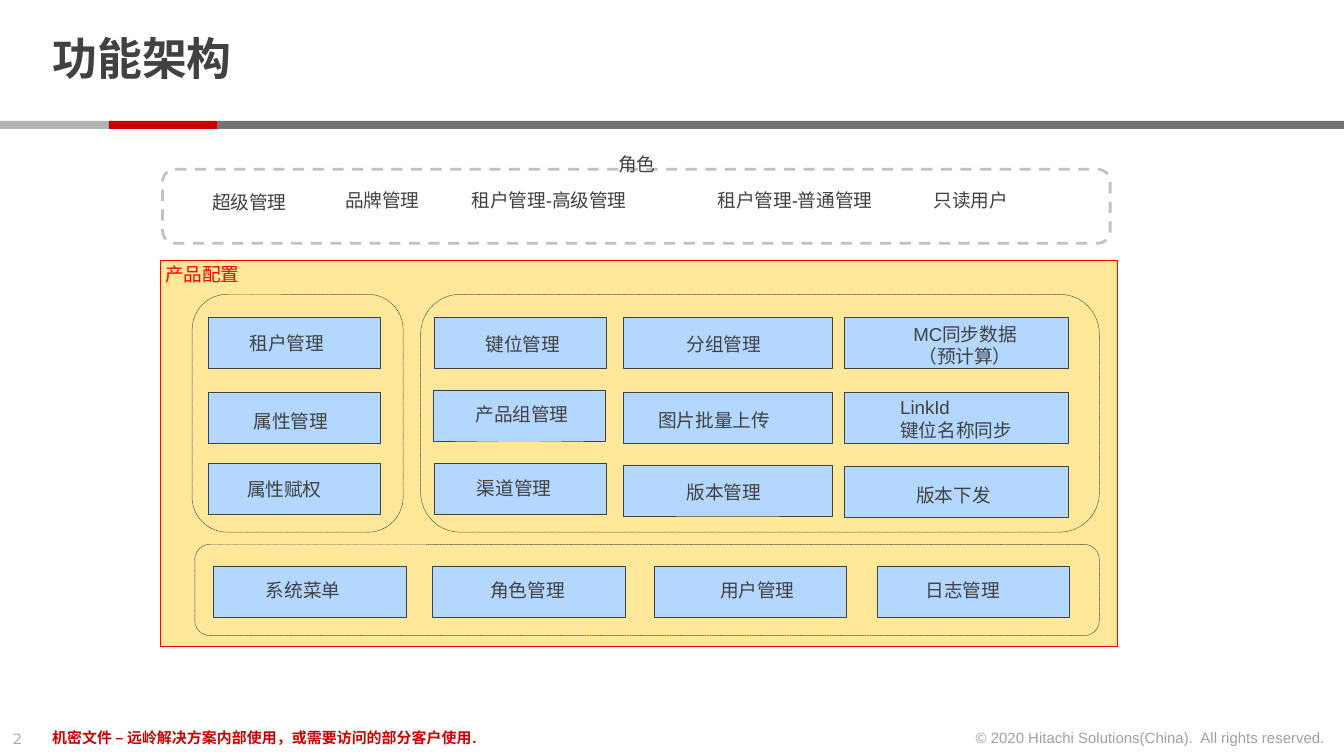
"""Build the functional architecture slide: roles, product configuration modules and footer."""
from pptx import Presentation
from pptx.dml.color import RGBColor
from pptx.enum.dml import MSO_LINE
from pptx.enum.shapes import MSO_SHAPE
from pptx.enum.text import MSO_ANCHOR, MSO_AUTO_SIZE, PP_ALIGN
from pptx.util import Inches, Pt

RECT, ROUNDED = MSO_SHAPE.RECTANGLE, MSO_SHAPE.ROUNDED_RECTANGLE
DASH, DOTS = MSO_LINE.DASH, MSO_LINE.SQUARE_DOT
LEFT, CENTER, RIGHT = PP_ALIGN.LEFT, PP_ALIGN.CENTER, PP_ALIGN.RIGHT
MIDDLE, NO_FIT = MSO_ANCHOR.MIDDLE, MSO_AUTO_SIZE.NONE
TITLE_ONLY = 5

THEME = {
    "ink": "414141", "muted": "A0A0A0", "brand": "CC0000", "alert": "FF0000",
    "panel": "FFE899", "module": "B3D7FF", "role_line": "C2C2C2",
    "bar_light": "B3B3B3", "bar_dark": "737373",
    "title_font": "Montserrat", "body_font": "Arial",
    "title_size": 24, "body_size": 10, "small_size": 8,
    "hairline": 0.25, "role_width": 1.5,
}

TITLE = "功能架构"
PAGE_NUMBER = "2"
CONFIDENTIAL = "机密文件 – 远岭解决方案内部使用，或需要访问的部分客户使用."
COPYRIGHT = "© 2020 Hitachi Solutions(China).  All rights reserved."

BARS = [("bar_light", 0.81), ("brand", 0.81), ("bar_dark", 8.38)]
BAR_TOP, BAR_HEIGHT = 0.9, 0.06

ROLES = [
    ("超级管理", 1.48, 1.37, 0.96),
    ("品牌管理", 2.47, 1.36, 0.96),
    ("租户管理-高级管理", 3.41, 1.36, 1.41),
    ("租户管理-普通管理", 5.24, 1.36, 1.77),
    ("只读用户", 6.85, 1.36, 0.96),
]

GROUPS = [
    (1.43, 2.19, 1.57, 1.77),
    (3.13, 2.19, 5.05, 1.77),
    (1.45, 4.05, 6.73, 0.68),
]

MODULE_HEIGHT, LABEL_HEIGHT, EXTRA_LINE = 0.38, 0.27, 0.17
MODULE_COLUMNS = [
    (1.28, [
        ("租户管理", 1.55, 2.36, (1.76, 2.42, 0.96), LEFT),
        ("属性管理", 1.55, 2.92, (1.79, 3.0, 0.93), LEFT),
        ("属性赋权", 1.55, 3.45, (1.74, 3.51, 1.12), LEFT),
    ]),
    (1.28, [
        ("键位管理", 3.23, 2.36, (3.33, 2.43, 1.12), CENTER),
        ("产品组管理", 3.22, 2.9, (3.44, 2.95, 0.97), LEFT),
        ("渠道管理", 3.23, 3.45, (3.45, 3.5, 0.97), LEFT),
    ]),
    (1.55, [
        ("分组管理", 4.64, 2.36, (5.01, 2.43, 1.04), LEFT),
        ("图片批量上传", 4.64, 2.92, (4.8, 2.99, 1.14), LEFT),
        ("版本管理", 4.64, 3.46, (5.01, 3.53, 1.14), LEFT),
    ]),
    (1.67, [
        ("MC同步数据\n（预计算）", 6.28, 2.36, (6.53, 2.35, 1.3), CENTER),
        ("LinkId\n键位名称同步", 6.28, 2.92, (6.6, 2.9, 1.23), LEFT),
        ("版本下发", 6.28, 3.47, (6.72, 3.55, 1.24), LEFT),
    ]),
    (1.43, [
        ("系统菜单", 1.59, 4.21, (1.88, 4.26, 1.08), LEFT),
        ("角色管理", 3.22, 4.21, (3.55, 4.26, 1.08), LEFT),
        ("用户管理", 4.87, 4.21, (5.26, 4.26, 1.08), LEFT),
        ("日志管理", 6.53, 4.21, (6.79, 4.26, 1.08), LEFT),
    ]),
]


def color(name):
    return RGBColor.from_string(THEME[name])


def format_text(frame, size, ink, font="body_font", bold=False, align=LEFT):
    for para in frame.paragraphs:
        para.alignment = align
        for span in para.runs:
            span.font.name = THEME[font]
            span.font.size = Pt(THEME[size])
            span.font.bold = bold
            span.font.color.rgb = color(ink)


def add_label(page, text, left, top, width, size="body_size", ink="ink", wrap=True,
              height=LABEL_HEIGHT, **style):
    full_height = height + EXTRA_LINE * text.count("\n")
    box = page.shapes.add_textbox(Inches(left), Inches(top), Inches(width),
                                  Inches(full_height))
    box.text_frame.text = text
    box.text_frame.word_wrap = wrap
    format_text(box.text_frame, size, ink, **style)


def add_box(page, kind, place, fill=None, line=None, width="hairline", dash=None):
    box = page.shapes.add_shape(kind, *map(Inches, place))
    box.shadow.inherit = False
    if fill:
        box.fill.solid()
        box.fill.fore_color.rgb = color(fill)
    else:
        box.fill.background()
    if line:
        box.line.color.rgb = color(line)
        box.line.width = Pt(THEME[width])
        if dash:
            box.line.dash_style = dash
    else:
        box.line.fill.background()


def add_title(page):
    title = page.shapes.title
    title.left, title.top = Inches(0.29), Inches(0.06)
    title.width, title.height = Inches(7.71), Inches(0.8)
    frame = title.text_frame
    frame.text = TITLE
    frame.auto_size = NO_FIT
    frame.vertical_anchor = MIDDLE
    frame.margin_top = frame.margin_bottom = 0
    frame.paragraphs[0].line_spacing = 0.85
    format_text(frame, "title_size", "ink", font="title_font", bold=True)


def add_frame(page):
    left = 0
    for fill, width in BARS:
        add_box(page, RECT, (left, BAR_TOP, width, BAR_HEIGHT), fill)
        left += width
    add_label(page, PAGE_NUMBER, 0, 5.38, 0.34, "small_size", "muted", False, 0.24,
              font="title_font")
    add_label(page, CONFIDENTIAL, 0.29, 5.37, 6.74, "small_size", "brand", height=0.24,
              bold=True)
    add_label(page, COPYRIGHT, 7.12, 5.37, 2.84, "small_size", "muted", False, 0.24,
              align=RIGHT)


def add_configuration(page):
    add_box(page, RECT, (1.19, 1.94, 7.12, 2.87), "panel", "alert")
    add_label(page, "产品配置", 1.13, 1.91, 1.46, ink="alert")
    for place in GROUPS:
        add_box(page, ROUNDED, place, line="ink", dash=DOTS)
    for width, modules in MODULE_COLUMNS:
        for _, left, top, _, _ in modules:
            add_box(page, RECT, (left, top, width, MODULE_HEIGHT), "module", "ink")
        for text, _, _, place, align in modules:
            add_label(page, text, *place, align=align)


def add_roles(page):
    add_box(page, ROUNDED, (1.21, 1.26, 7.05, 0.55), line="role_line",
            width="role_width", dash=DASH)
    for role in ROLES:
        add_label(page, *role)
    add_label(page, "角色", 4.5, 1.09, 0.69)


def main():
    deck = Presentation()
    deck.slide_width, deck.slide_height = Inches(10), Inches(45 / 8)
    page = deck.slides.add_slide(deck.slide_layouts[TITLE_ONLY])
    add_title(page)
    add_frame(page)
    add_configuration(page)
    add_roles(page)
    deck.save("out.pptx")


if __name__ == "__main__":
    main()
